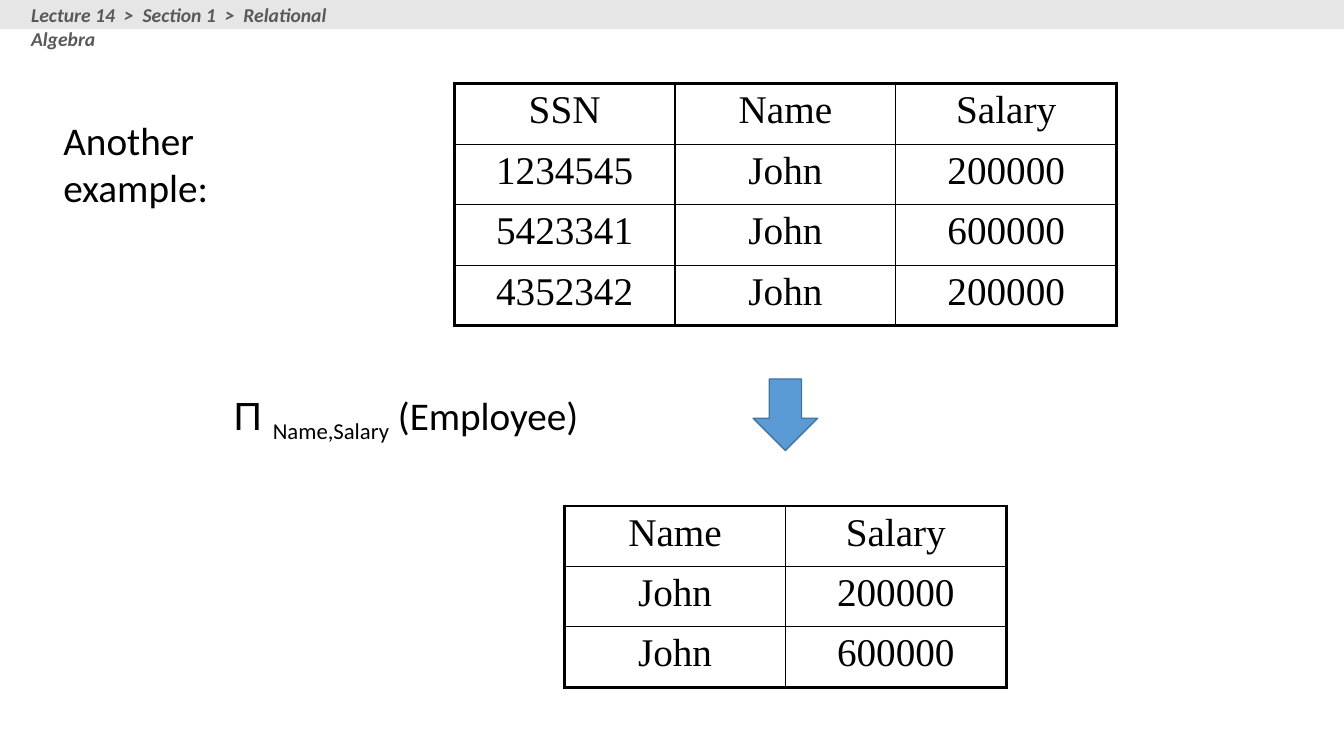
from dataclasses import dataclass

from lxml import etree
from pptx import Presentation
from pptx.dml.color import RGBColor
from pptx.enum import shapes, text
from pptx.oxml import ns
from pptx.util import Inches, Pt


@dataclass(frozen=True)
class Theme:
    ink: str = "000000"
    crumb: str = "595959"
    band: str = "E7E6E6"
    arrow: str = "5B9BD5"
    arrow_edge: str = "43739E"
    body_font: str = "Calibri"
    symbol_font: str = "Arial"
    table_font: str = "Times New Roman"
    body_size: float = 28
    crumb_size: float = 14
    outer_rule: float = 2.25
    inner_rule: float = 1


THEME = Theme()
AXIS = 7.79
COLUMN_WIDTH = 2.19
ROW_HEIGHT = 0.6


def set_font(font, name, size, color):
    font.name = name
    font.size = Pt(size)
    font.color.rgb = RGBColor.from_string(color)


def add_text(parent, box, content, size=THEME.body_size, color=THEME.ink):
    label = parent.add_textbox(*map(Inches, box))
    label.text_frame.word_wrap = True
    para = label.text_frame.paragraphs[0]
    para.text = content
    set_font(para.font, THEME.body_font, size, color)
    return para


def add_block(parent, kind, box, color):
    block = parent.add_shape(kind, *map(Inches, box))
    block.shadow.inherit = False
    block.fill.solid()
    block.fill.fore_color.rgb = RGBColor.from_string(color)
    return block


def add_header(page, box, content):
    left, top, width, height = box
    header = page.shapes.add_group_shape().shapes
    band = add_block(header, shapes.MSO_SHAPE.RECTANGLE, box, THEME.band)
    band.line.fill.background()
    crumb_box = (left + 0.21, top - 0.02, 3.74, height + 0.05)
    para = add_text(header, crumb_box, content, THEME.crumb_size, THEME.crumb)
    para.font.bold = True
    para.font.italic = True


def add_projection(page, box):
    para = add_text(page.shapes, box, "")
    for content in ("Π ", "Name,Salary", " (Employee)"):
        span = para.add_run()
        span.text = content
    symbol, attributes, _ = para.runs
    symbol.font.name = THEME.symbol_font
    attributes._r.get_or_add_rPr().set("baseline", "-25000")


def set_borders(cell, outer_edges):
    properties = cell._tc.get_or_add_tcPr()
    for edge, outer in outer_edges.items():
        width = THEME.outer_rule if outer else THEME.inner_rule
        line = etree.SubElement(properties, ns.qn(f"a:ln{edge}"), w=str(Pt(width)))
        fill = etree.SubElement(line, ns.qn("a:solidFill"))
        etree.SubElement(fill, ns.qn("a:srgbClr"), val=THEME.ink)


def add_relation(page, top, rows):
    row_count, column_count = len(rows), len(rows[0])
    width = column_count * COLUMN_WIDTH
    box = (AXIS - width / 2, top, width, row_count * ROW_HEIGHT)
    table = page.shapes.add_table(row_count, column_count, *map(Inches, box)).table
    table.first_row = False
    table.horz_banding = False
    for r, row in enumerate(rows):
        for c, value in enumerate(row):
            cell = table.cell(r, c)
            set_borders(cell, {
                "L": c == 0,
                "R": c == column_count - 1,
                "T": r == 0,
                "B": r == row_count - 1,
            })
            cell.fill.background()
            cell.text = value
            para = cell.text_frame.paragraphs[0]
            para.alignment = text.PP_ALIGN.CENTER
            set_font(para.font, THEME.table_font, THEME.body_size, THEME.ink)


def add_down_arrow(page, top, width, height):
    box = (AXIS - width / 2, top, width, height)
    arrow = add_block(page.shapes, shapes.MSO_SHAPE.DOWN_ARROW, box, THEME.arrow)
    arrow.line.color.rgb = RGBColor.from_string(THEME.arrow_edge)
    arrow.line.width = Pt(THEME.inner_rule)


def main():
    deck = Presentation()
    deck.slide_width, deck.slide_height = Inches(13.33), Inches(7.5)
    page = deck.slides.add_slide(deck.slide_layouts[6])
    add_projection(page, (2.22, 3.83, 3.83, 0.57))
    add_relation(page, 0.83, [
        ("SSN", "Name", "Salary"),
        ("1234545", "John", "200000"),
        ("5423341", "John", "600000"),
        ("4352342", "John", "200000"),
    ])
    add_relation(page, 5.02, [
        ("Name", "Salary"),
        ("John", "200000"),
        ("John", "600000"),
    ])
    add_text(page.shapes, (0.53, 1.1, 3.01, 0.57), "Another example:")
    add_down_arrow(page, 3.76, 0.64, 0.71)
    add_header(page, (0, 0, 13.33, 0.29), "Lecture 14  >  Section 1  >  Relational Algebra")
    deck.save("out.pptx")


if __name__ == "__main__":
    main()
